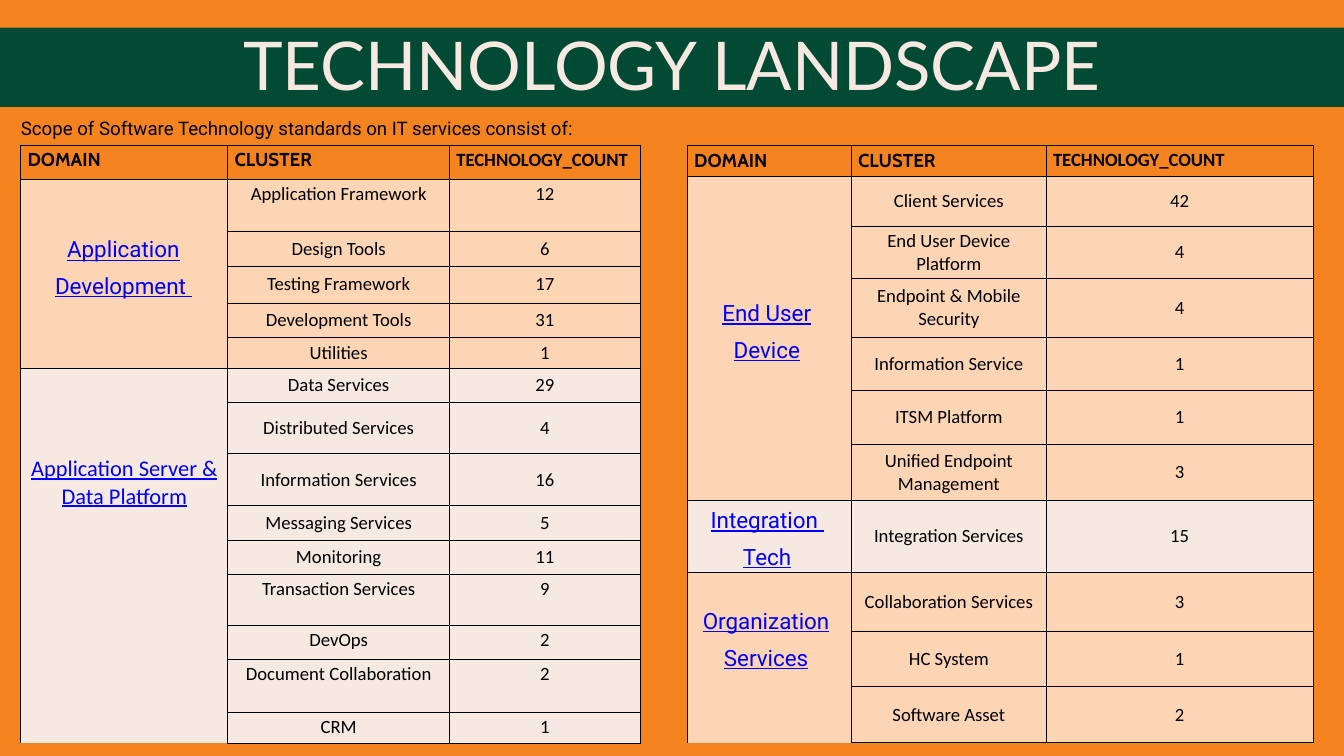
from pptx import Presentation
from pptx.dml.color import RGBColor
from pptx.enum.shapes import MSO_SHAPE
from pptx.enum.text import MSO_ANCHOR, PP_ALIGN
from pptx.oxml import parse_xml
from pptx.oxml.ns import nsdecls
from pptx.util import Inches, Pt

RECTANGLE = MSO_SHAPE.RECTANGLE
LEFT, CENTER = PP_ALIGN.LEFT, PP_ALIGN.CENTER
TOP, MIDDLE = MSO_ANCHOR.TOP, MSO_ANCHOR.MIDDLE

ORANGE = RGBColor(0xF5, 0x83, 0x20)
GREEN = RGBColor(0x02, 0x4A, 0x34)
CREAM = RGBColor(0xF6, 0xE9, 0xE1)
PEACH = RGBColor(0xFC, 0xD5, 0xB5)
BLACK = RGBColor(0, 0, 0)
LINK_BLUE = RGBColor(0, 0, 0xFF)

HEADINGS = [("DOMAIN", "Cabin"), ("CLUSTER", "Cabin"), ("TECHNOLOGY_COUNT", "Calibri")]

APPLICATION_DEVELOPMENT = [
    (0.78, "Application Framework", 12, TOP),
    (0.51, "Design Tools", 6, MIDDLE),
    (0.55, "Testing Framework", 17, MIDDLE),
    (0.51, "Development Tools", 31, MIDDLE),
    (0.46, "Utilities", 1, MIDDLE),
]
SERVER_AND_DATA = [
    (0.51, "Data Services", 29, MIDDLE),
    (0.76, "Distributed Services", 4, MIDDLE),
    (0.78, "Information Services", 16, MIDDLE),
    (0.51, "Messaging Services", 5, MIDDLE),
    (0.51, "Monitoring", 11, MIDDLE),
    (0.76, "Transaction Services", 9, TOP),
    (0.51, "DevOps", 2, TOP),
    (0.78, "Document Collaboration", 2, TOP),
    (0.46, "CRM", 1, TOP),
]
END_USER_DEVICE = [
    (0.75, "Client Services", 42, MIDDLE),
    (0.75, "End User Device Platform", 4, MIDDLE),
    (0.89, "Endpoint & Mobile Security", 4, MIDDLE),
    (0.79, "Information Service", 1, MIDDLE),
    (0.79, "ITSM Platform", 1, MIDDLE),
    (0.84, "Unified Endpoint Management", 3, MIDDLE),
]
INTEGRATION = [(1.07, "Integration Services", 15, MIDDLE)]
ORGANIZATION = [
    (0.88, "Collaboration Services", 3, MIDDLE),
    (0.82, "HC System", 1, MIDDLE),
    (0.84, "Software Asset", 2, MIDDLE),
]


def style_paragraph(paragraph, font_name, size, color, align=LEFT, bold=False, underline=False):
    """Set the alignment and font of one paragraph."""
    paragraph.alignment = align
    font = paragraph.font
    font.name, font.size, font.bold, font.underline = font_name, Pt(size), bold, underline
    font.color.rgb = color


def add_text(slide, box, lines, font_name, size, color, spacing, align=CENTER, underline=False):
    """Add a text box without margins and with fixed line spacing."""
    frame = slide.shapes.add_textbox(*map(Inches, box)).text_frame
    frame.word_wrap = True
    frame.margin_left = frame.margin_right = frame.margin_top = frame.margin_bottom = 0
    frame.text = "\n".join(lines)
    for paragraph in frame.paragraphs:
        style_paragraph(paragraph, font_name, size, color, align, underline=underline)
        paragraph.line_spacing = Pt(spacing)


def add_domain_label(slide, box, *lines):
    """Add an underlined blue domain name over its table cell."""
    add_text(slide, box, lines, "Roboto", 24, LINK_BLUE, 39.2, underline=True)


def add_band(slide):
    """Add the green band behind the title."""
    band = slide.shapes.add_shape(RECTANGLE, 0, Inches(0.41), Inches(20), Inches(1.18))
    band.shadow.inherit = False
    band.fill.solid()
    band.fill.fore_color.rgb = GREEN
    band.line.fill.background()


def format_cell(cell, color, sides="LRTB"):
    """Draw the black borders on the given sides and fill the cell."""
    properties = cell._tc.get_or_add_tcPr()
    for side in "LRTB":
        paint = f'<a:solidFill><a:srgbClr val="{BLACK}"/></a:solidFill>' if side in sides else "<a:noFill/>"
        properties.append(parse_xml(f'<a:ln{side} {nsdecls("a")} w="{Pt(1.12)}">{paint}</a:ln{side}>'))
    cell.fill.solid()
    cell.fill.fore_color.rgb = color


def fill_domain(table, first, last, color):
    """Merge the domain cells of one group, leaving the table's end open."""
    is_closed = last < len(table.rows) - 1
    bottom = "B" if is_closed else ""
    for row in range(first, last + 1):
        top = "T" if row == first else ""
        format_cell(table.cell(row, 0), color, "LR" + top + (bottom if row in (first, last) else ""))
    if last > first:
        table.cell(first, 0).merge(table.cell(last, 0))


def add_domain_table(slide, left, top, widths, header_height, groups):
    """Add a table of clusters and counts grouped by domain."""
    records = [record for _, group in groups for record in group]
    heights = [header_height] + [record[0] for record in records]
    frame = slide.shapes.add_table(len(heights), len(widths), Inches(left), Inches(top),
                                   Inches(sum(widths)), Inches(sum(heights)))
    table = frame.table
    table.first_row = table.horz_banding = False
    for column, width in zip(table.columns, widths):
        column.width = Inches(width)
    for row, height in zip(table.rows, heights):
        row.height = Inches(height)
    for column, (heading, font_name) in enumerate(HEADINGS):
        cell = table.cell(0, column)
        cell.text = heading
        style_paragraph(cell.text_frame.paragraphs[0], font_name, 20, BLACK, bold=True)
        format_cell(cell, ORANGE)
    first = 1
    for color, group in groups:
        fill_domain(table, first, first + len(group) - 1, color)
        for row, (_, cluster, count, anchor) in enumerate(group, first):
            for column, value in enumerate((cluster, count), 1):
                cell = table.cell(row, column)
                cell.text = str(value)
                cell.vertical_anchor = anchor
                style_paragraph(cell.text_frame.paragraphs[0], "Calibri", 20, BLACK, CENTER)
                format_cell(cell, color)
        first += len(group)
    return table


def main():
    """Build the technology landscape slide."""
    presentation = Presentation()
    presentation.slide_width, presentation.slide_height = Inches(20), Inches(11.25)
    slide = presentation.slides.add_slide(presentation.slide_layouts[6])
    slide.background.fill.solid()
    slide.background.fill.fore_color.rgb = ORANGE

    add_band(slide)
    add_text(slide, (1.77, 0.65, 16.46, 0.95), ["TECHNOLOGY LANDSCAPE"], "Lato", 72, CREAM, 64.8)
    add_text(slide, (0.31, 1.49, 13.34, 0.52),
             ["Scope of Software Technology standards on IT services consist of:"],
             "Roboto", 20, BLACK, 42.1, LEFT)

    table = add_domain_table(slide, 0.31, 2.16, (3.08, 3.3, 2.84), 0.51,
                             [(PEACH, APPLICATION_DEVELOPMENT), (CREAM, SERVER_AND_DATA)])
    server_cell = table.cell(len(APPLICATION_DEVELOPMENT) + 1, 0)
    server_cell.text = "Application Server & Data Platform"
    server_cell.margin_top = Inches(1.3)
    style_paragraph(server_cell.text_frame.paragraphs[0], "Calibri", 24, LINK_BLUE, CENTER, underline=True)
    add_domain_label(slide, (0.77, 3.36, 2.13, 1.03), "Application Development ")

    add_domain_table(slide, 10.23, 2.17, (2.44, 2.9, 3.97), 0.45,
                     [(PEACH, END_USER_DEVICE), (CREAM, INTEGRATION), (PEACH, ORGANIZATION)])
    add_domain_label(slide, (10.5, 4.31, 1.82, 1.05), "End User Device")
    add_domain_label(slide, (10.44, 8.89, 1.92, 1.06), "Organization Services")
    add_domain_label(slide, (10.14, 7.39, 2.55, 1.03), "Integration ", "Tech")

    presentation.save("out.pptx")


if __name__ == "__main__":
    main()
